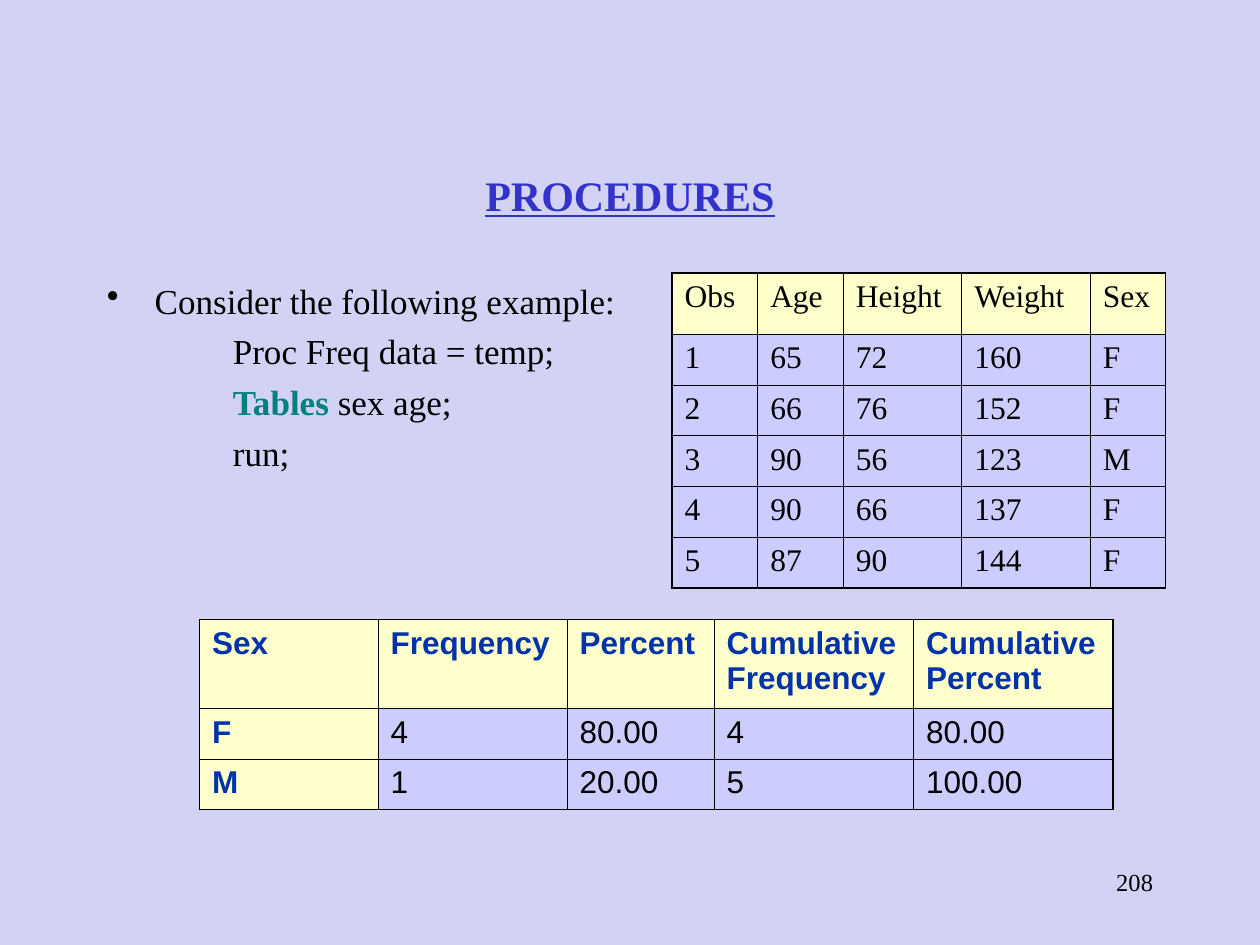
"""Build the PROCEDURES slide: a frequency example with its data and result tables."""
from lxml.etree import SubElement
from pptx import Presentation
from pptx.dml.color import RGBColor as RGB
from pptx.enum.text import MSO_ANCHOR as ANCHOR, PP_ALIGN as ALIGN
from pptx.oxml.ns import qn
from pptx.util import Inches, Pt

COLORS = {"page": "D2D2F4", "ink": "000000", "title": "3333CC", "keyword": "008080",
          "head": "FFFFCC", "cell": "CCCCFF", "label": "0033A9"}
SERIF, SANS = "Times New Roman", "Arial"
COLS, ROWS = 120, 90


class Deck:
    """Holds the style, the grid and the current slide."""

    def __init__(self, width, height):
        self.prs = Presentation()
        self.prs.slide_width, self.prs.slide_height = Inches(width), Inches(height)
        self.s = self.prs.slides.add_slide(self.prs.slide_layouts[6])
        self.s.background.fill.solid()
        self.s.background.fill.fore_color.rgb = RGB.from_string(COLORS["page"])

    def x(self, cols):
        """Turn grid columns into a length."""
        return round(self.prs.slide_width * cols / COLS)

    def y(self, rows):
        """Turn grid rows into a length."""
        return round(self.prs.slide_height * rows / ROWS)

    def style(self, r, color="ink", **fmt):
        """Apply font values to a run."""
        for name, value in {"name": SERIF, "size": Pt(20), **fmt}.items():
            setattr(r.font, name, value)
        r.font.color.rgb = RGB.from_string(COLORS[color])

    def text(self, left, top, width, height, paragraphs, anchor=ANCHOR.TOP):
        """Add a text box of (runs, paragraph format, indent, bullet) items."""
        sp = self.s.shapes.add_textbox(self.x(left), self.y(top), self.x(width), self.y(height))
        tf = sp.text_frame
        tf.word_wrap, tf.vertical_anchor = True, anchor
        for i, (runs, fmt, indent, bullet) in enumerate(paragraphs):
            p = tf.add_paragraph() if i else tf.paragraphs[0]
            self.indent(p, indent, bullet)
            for name, value in fmt.items():
                setattr(p, name, value)
            for words, font in runs:
                r = p.add_run()
                r.text = words
                self.style(r, **font)

    def indent(self, p, indent, bullet):
        """Set the margin, first-line offset and bullet of a paragraph."""
        pPr = p._p.get_or_add_pPr()
        for name, value in zip(("marL", "indent"), indent):
            pPr.set(name, str(Inches(value)))
        if bullet:
            SubElement(SubElement(pPr, qn("a:buClr")), qn("a:srgbClr"), val=COLORS["ink"])
            SubElement(pPr, qn("a:buChar"), char=bullet)
        else:
            SubElement(pPr, qn("a:buNone"))

    def border(self, cell, outer):
        """Draw the cell edges, heavier where they are on the outside."""
        for side, heavy in zip("LRTB", outer):
            ln = SubElement(cell._tc.get_or_add_tcPr(), qn(f"a:ln{side}"),
                            w=str(Pt(1.08 if heavy else 0.45)))
            SubElement(SubElement(ln, qn("a:solidFill")), qn("a:srgbClr"), val=COLORS["ink"])

    def table(self, left, top, widths, heights, data, font, head, head_cols=0):
        """Add a table with a tinted header row and optional header columns."""
        tb = self.s.shapes.add_table(len(heights), len(widths), self.x(left), self.y(top),
                                     self.x(sum(widths)), self.y(sum(heights))).table
        tb.first_row = tb.horz_banding = False
        for column, width in zip(tb.columns, widths):
            column.width = self.x(width)
        for row, height in zip(tb.rows, heights):
            row.height = self.y(height)
        for i, line in enumerate(data):
            for j, words in enumerate(line):
                cell, is_head = tb.cell(i, j), i == 0 or j < head_cols
                self.border(cell, (j == 0, j == len(widths) - 1, i == 0, i == len(heights) - 1))
                cell.fill.solid()
                cell.fill.fore_color.rgb = RGB.from_string(COLORS["head" if is_head else "cell"])
                p = cell.text_frame.paragraphs[0]
                p.text = words
                for r in p.runs:
                    self.style(r, name=font, size=Pt(18), **(head if is_head else {}))


def main():
    deck = Deck(10, 7.5)
    deck.text(86, 82, 25, 6, [([("208", {"size": Pt(14)})], {"alignment": ALIGN.RIGHT}, (), None)])
    title = {"color": "title", "size": Pt(24), "bold": True, "underline": True}
    deck.text(9, 14, 102, 9, [([("PROCEDURES", title)], {"alignment": ALIGN.CENTER}, (), None)],
              ANCHOR.MIDDLE)

    code = [[("Proc Freq data = temp;", {})],
            [("Tables", {"color": "keyword", "bold": True}), (" sex age;", {})],
            [("run;", {})]]
    deck.text(9, 26, 102, 54,
              [([("Consider the following example:", {})], {}, (0.38, -0.38), "•")]
              + [(runs, {"level": 2, "space_before": Pt(5)}, (1.25, -0.25), None) for runs in code])

    deck.table(64, 26, [8.16, 8.16, 11.28, 12.24, 7.16], [5.85] + [4.83] * 5,
               [["Obs", "Age", "Height", "Weight", "Sex"],
                ["1", "65", "72", "160", "F"],
                ["2", "66", "76", "152", "F"],
                ["3", "90", "56", "123", "M"],
                ["4", "90", "66", "137", "F"],
                ["5", "87", "90", "144", "F"]], SERIF, {})
    deck.table(19, 59, [17, 18, 14, 19, 19], [8.45, 4.83, 4.83],
               [["Sex", "Frequency", "Percent", "Cumulative\nFrequency", "Cumulative\nPercent"],
                ["F", "4", "80.00", "4", "80.00"],
                ["M", "1", "20.00", "5", "100.00"]],
               SANS, {"color": "label", "bold": True}, head_cols=1)
    deck.prs.save("out.pptx")


if __name__ == "__main__":
    main()
